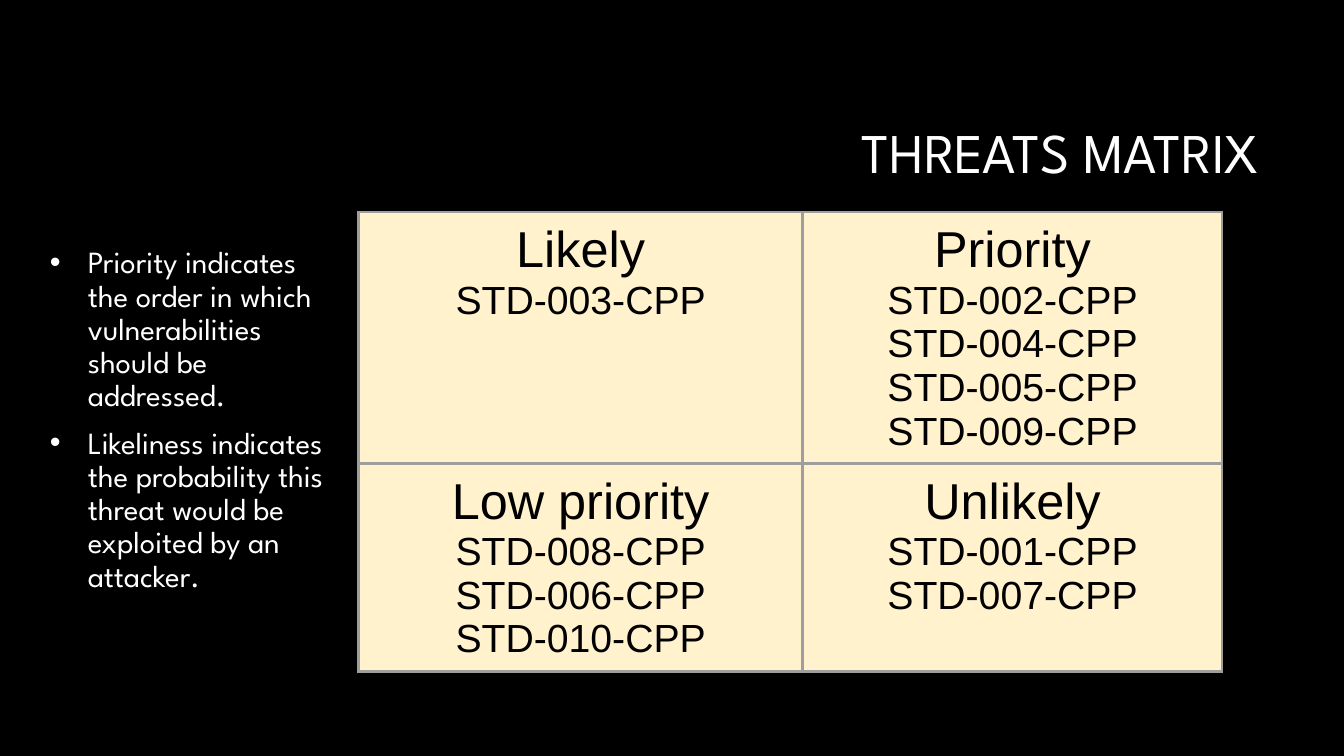
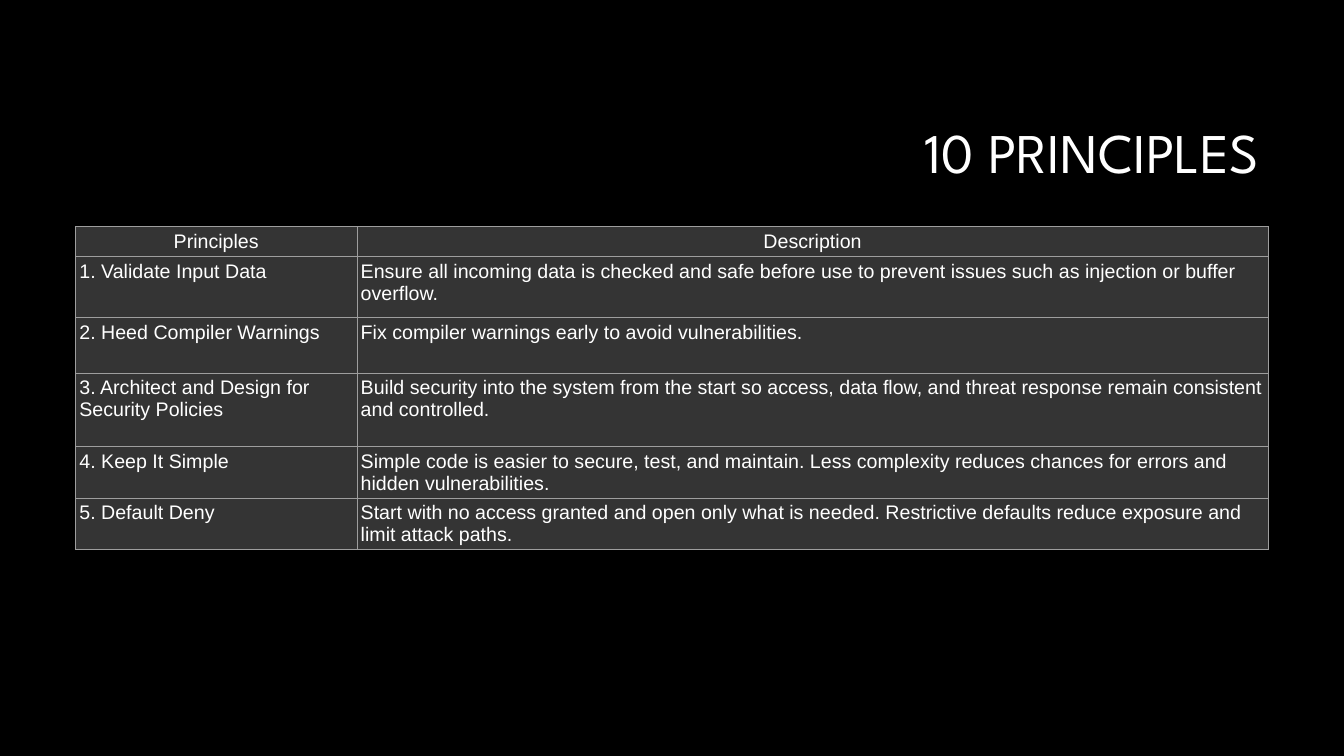
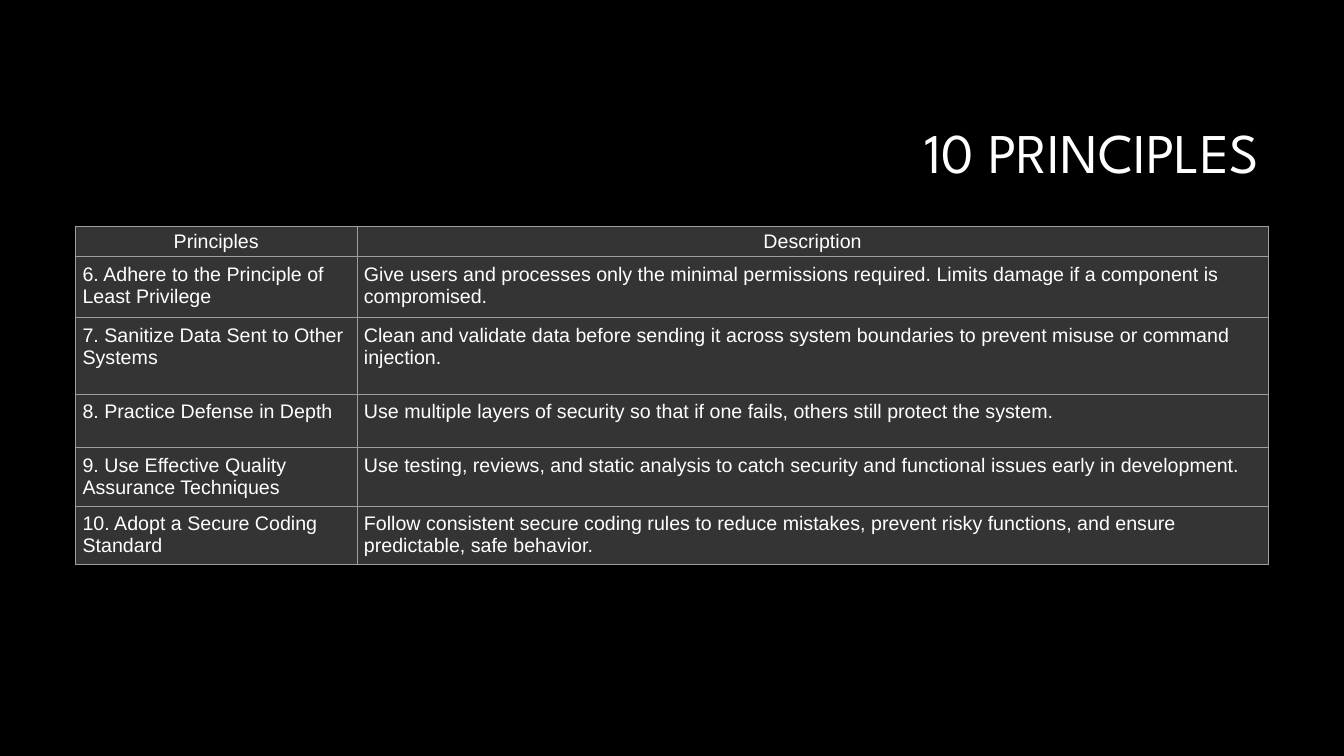
import dataclasses

import lxml.etree
import pptx
import pptx.dml.color
import pptx.enum.text
import pptx.oxml.ns
import pptx.util

Pt = pptx.util.Pt
ALIGN = pptx.enum.text.PP_ALIGN
ANCHOR = pptx.enum.text.MSO_ANCHOR


@dataclasses.dataclass(frozen=True)
class Theme:
    background: str = "000000"
    light_text: str = "FFFFFF"
    dark_text: str = "000000"
    quadrant_fill: str = "FFF2CC"
    principle_fill: str = "343434"
    border: str = "9E9E9E"
    display_font: str = "League Spartan"
    table_font: str = "Arial"
    title_size: float = 40
    bullet_size: float = 22
    quadrant_heading_size: float = 36
    quadrant_item_size: float = 28
    principle_size: float = 14


@dataclasses.dataclass(frozen=True)
class Box:
    left: float
    top: float
    width: float
    height: float

    def place(self, placeholder):
        placeholder.left, placeholder.top = Pt(self.left), Pt(self.top)
        placeholder.width, placeholder.height = Pt(self.width), Pt(self.height)


THEME = Theme()
SLIDE = Box(0, 0, 960, 540)
TITLE = Box(228, 60.5, 678.5, 101.5)
NOTES = Box(17.5, 173, 232.5, 317)
MATRIX = Box(256, 151.5, 617, 327)
PRINCIPLES = Box(54, 162, 852, 240)

LAYOUT_LIST, LAYOUT_TITLE_ONLY = 1, 5

PRIORITY_NOTES = [
    "Priority indicates the order in which vulnerabilities should be addressed.",
    "Likeliness indicates the probability this threat would be exploited by an attacker.",
]

THREATS = [
    [
        ["Likely", "STD-003-CPP"],
        ["Priority", "STD-002-CPP", "STD-004-CPP", "STD-005-CPP", "STD-009-CPP"],
    ],
    [
        ["Low priority", "STD-008-CPP", "STD-006-CPP", "STD-010-CPP"],
        ["Unlikely", "STD-001-CPP", "STD-007-CPP"],
    ],
]

PRINCIPLE_HEADER = ("Principles", "Description")

FIRST_PRINCIPLES = [
    ("1. Validate Input Data",
     "Ensure all incoming data is checked and safe before use to prevent issues such as injection or buffer overflow."),
    ("2. Heed Compiler Warnings",
     "Fix compiler warnings early to avoid vulnerabilities."),
    ("3. Architect and Design for Security Policies",
     "Build security into the system from the start so access, data flow, and threat response remain consistent and controlled."),
    ("4. Keep It Simple",
     "Simple code is easier to secure, test, and maintain. Less complexity reduces chances for errors and hidden vulnerabilities."),
    ("5. Default Deny",
     "Start with no access granted and open only what is needed. Restrictive defaults reduce exposure and limit attack paths."),
]

LAST_PRINCIPLES = [
    ("6. Adhere to the Principle of Least Privilege",
     "Give users and processes only the minimal permissions required. Limits damage if a component is compromised."),
    ("7. Sanitize Data Sent to Other Systems",
     "Clean and validate data before sending it across system boundaries to prevent misuse or command injection."),
    ("8. Practice Defense in Depth",
     "Use multiple layers of security so that if one fails, others still protect the system."),
    ("9. Use Effective Quality Assurance Techniques",
     "Use testing, reviews, and static analysis to catch security and functional issues early in development."),
    ("10. Adopt a Secure Coding Standard",
     "Follow consistent secure coding rules to reduce mistakes, prevent risky functions, and ensure predictable, safe behavior."),
]


def rgb(value):
    return pptx.dml.color.RGBColor.from_string(value)


def style_paragraph(paragraph, font, size, color, align):
    paragraph.font.name = font
    paragraph.font.size = Pt(size)
    paragraph.font.color.rgb = rgb(color)
    paragraph.alignment = align


def fill_placeholder(placeholder, box, text, size, align, anchor):
    box.place(placeholder)
    frame = placeholder.text_frame
    frame.text = text
    frame.word_wrap = True
    frame.auto_size = pptx.enum.text.MSO_AUTO_SIZE.NONE
    frame.vertical_anchor = anchor
    for paragraph in frame.paragraphs:
        style_paragraph(paragraph, THEME.display_font, size, THEME.light_text, align)
        paragraph.line_spacing = 0.9
    return frame.paragraphs


def add_titled_slide(deck, layout, title):
    slide = deck.slides.add_slide(deck.slide_layouts[layout])
    fill_placeholder(slide.shapes.title, TITLE, title, THEME.title_size, ALIGN.RIGHT, ANCHOR.MIDDLE)
    return slide


def add_bullets(slide, box, items):
    bullets = fill_placeholder(slide.placeholders[1], box, "\n".join(items),
                               THEME.bullet_size, ALIGN.LEFT, ANCHOR.TOP)
    for bullet in bullets:
        bullet.space_before = Pt(10)
        properties = bullet._p.get_or_add_pPr()
        properties.set("marL", str(Pt(38)))
        properties.set("indent", str(Pt(-27)))


def set_borders(cell, width):
    properties = cell._tc.get_or_add_tcPr()
    qn = pptx.oxml.ns.qn
    for position, side in enumerate(("a:lnL", "a:lnR", "a:lnT", "a:lnB")):
        line = lxml.etree.Element(qn(side), w=str(Pt(width)))
        solid = lxml.etree.SubElement(line, qn("a:solidFill"))
        lxml.etree.SubElement(solid, qn("a:srgbClr"), val=THEME.border)
        properties.insert(position, line)


def add_plain_table(slide, box, widths, heights):
    table = slide.shapes.add_table(len(heights), len(widths), Pt(box.left), Pt(box.top),
                                   Pt(box.width), Pt(box.height)).table
    table.first_row = table.horz_banding = False
    for column, width in zip(table.columns, widths):
        column.width = Pt(width)
    for row, height in zip(table.rows, heights):
        row.height = Pt(height)
    return table


def fill_cell(cell, text, fill, inset, border_width):
    cell.text = text
    cell.fill.solid()
    cell.fill.fore_color.rgb = rgb(fill)
    cell.margin_left = cell.margin_right = cell.margin_top = cell.margin_bottom = Pt(inset)
    set_borders(cell, border_width)
    return cell.text_frame.paragraphs


def add_threat_matrix(slide, box, quadrants):
    left_width = 317.5
    top_height = 179
    table = add_plain_table(slide, box, (left_width, box.width - left_width),
                            (top_height, box.height - top_height))
    for row, quadrant_row in enumerate(quadrants):
        for column, lines in enumerate(quadrant_row):
            paragraphs = fill_cell(table.cell(row, column), "\n".join(lines),
                                   THEME.quadrant_fill, 7.2, 2.25)
            for index, paragraph in enumerate(paragraphs):
                size = THEME.quadrant_item_size if index else THEME.quadrant_heading_size
                style_paragraph(paragraph, THEME.table_font, size, THEME.dark_text, ALIGN.CENTER)


def add_principle_table(slide, box, principles, heights, body_inset):
    name_width = 201
    header_inset = 2.7
    table = add_plain_table(slide, box, (name_width, box.width - name_width), heights)
    for row, texts in enumerate([PRINCIPLE_HEADER, *principles]):
        inset = body_inset if row else header_inset
        align = ALIGN.LEFT if row else ALIGN.CENTER
        for column, text in enumerate(texts):
            for paragraph in fill_cell(table.cell(row, column), text, THEME.principle_fill, inset, 0.75):
                style_paragraph(paragraph, THEME.table_font, THEME.principle_size, THEME.light_text, align)


def add_matrix_slide(deck):
    slide = add_titled_slide(deck, LAYOUT_LIST, "THREATS MATRIX")
    add_bullets(slide, NOTES, PRIORITY_NOTES)
    add_threat_matrix(slide, MATRIX, THREATS)


def add_principles_slide(deck, principles, heights, body_inset):
    slide = add_titled_slide(deck, LAYOUT_TITLE_ONLY, "10 PRINCIPLES")
    add_principle_table(slide, PRINCIPLES, principles, heights, body_inset)


def main():
    deck = pptx.Presentation()
    deck.slide_width, deck.slide_height = Pt(SLIDE.width), Pt(SLIDE.height)
    background = deck.slide_master.background.fill
    background.solid()
    background.fore_color.rgb = rgb(THEME.background)
    add_matrix_slide(deck)
    add_principles_slide(deck, FIRST_PRINCIPLES, (21.5, 43.5, 39.5, 52.5, 36.5, 36.5), 2.7)
    add_principles_slide(deck, LAST_PRINCIPLES, (21.5, 43.5, 54.5, 38.5, 41.5, 41.5), 5)
    deck.save("out.pptx")


if __name__ == "__main__":
    main()
